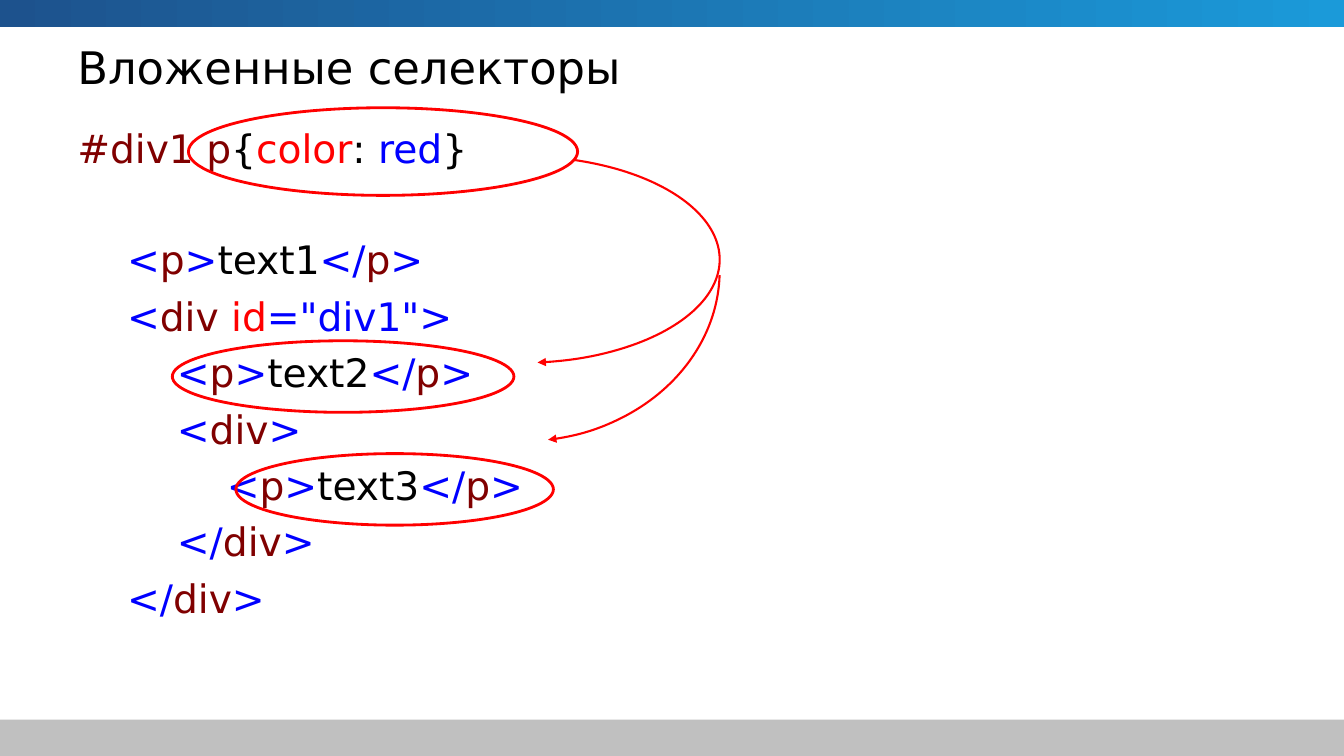
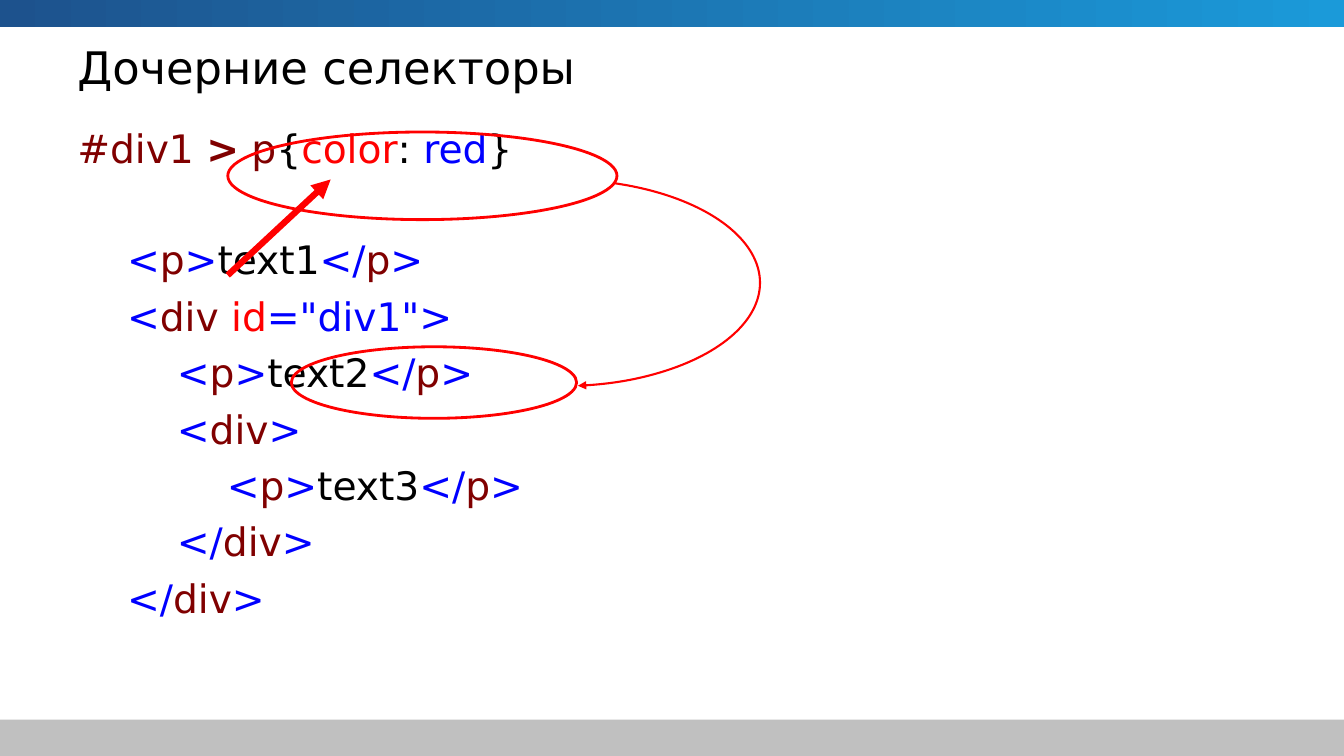
"""Build two slides on nested and child CSS selectors."""
from dataclasses import dataclass

from lxml.etree import SubElement
from pptx import Presentation
from pptx.dml.color import RGBColor
from pptx.enum.shapes import MSO_CONNECTOR, MSO_SHAPE
from pptx.enum.text import MSO_ANCHOR, MSO_AUTO_SIZE, PP_ALIGN
from pptx.oxml.ns import qn
from pptx.util import Pt

COLORS = {
    "text": "000000", "name": "800000", "mark": "0000FF", "accent": "FF0000",
    "footer": "C0C0C0", "band_start": "1D528D", "band_end": "1B9AD9",
}
FONT = "DejaVu Sans"
WIDTH, HEIGHT = 960, 540
TITLE_SIZE, CODE_SIZE = 32, 28
INDENT = 35.6
LINE_GAP = 6.7
BLOCK_GAP = 46


@dataclass(frozen=True)
class Span:
    text: str
    color: str = "text"
    bold: bool = False


@dataclass(frozen=True)
class CodeLine:
    level: int
    spans: list[Span]
    gap: float = LINE_GAP


@dataclass(frozen=True)
class Box:
    left: float
    top: float
    width: float
    height: float


@dataclass(frozen=True)
class Arc:
    box: Box
    start: float
    end: float = 80.92


@dataclass(frozen=True)
class Arrow:
    start: tuple[float, float]
    end: tuple[float, float]


@dataclass(frozen=True)
class Page:
    title: str
    selector: list[Span]
    ellipses: list[Box]
    arcs: list[Arc]
    arrows: list[Arrow]


def rgb(name):
    return RGBColor.from_string(COLORS[name])


def open_tag(name: str) -> list[Span]:
    return [Span("<", "mark"), Span(name, "name"), Span(">", "mark")]


def close_tag(name: str) -> list[Span]:
    return [Span("</", "mark"), Span(name, "name"), Span(">", "mark")]


def paragraph_tag(text: str) -> list[Span]:
    return [*open_tag("p"), Span(text), *close_tag("p")]


RULE = [Span("{"), Span("color", "accent"), Span(": "), Span("red", "mark"), Span("}")]
MARKUP = [
    CodeLine(1, paragraph_tag("text1"), BLOCK_GAP),
    CodeLine(1, [Span("<", "mark"), Span("div ", "name"), Span("id", "accent"),
                 Span('="div1">', "mark")]),
    CodeLine(2, paragraph_tag("text2")),
    CodeLine(2, open_tag("div")),
    CodeLine(3, paragraph_tag("text3")),
    CodeLine(2, close_tag("div")),
    CodeLine(1, close_tag("div")),
]
PAGES = [
    Page(
        "Вложенные селекторы",
        [Span("#div1 p", "name"), *RULE],
        [Box(134.6, 77, 278, 62.6), Box(123.1, 243.4, 244, 51.1),
         Box(168.5, 324, 226.8, 51.1)],
        [Arc(Box(230.4, 111.6, 283.7, 147.6), 298.19),
         Arc(Box(230.4, 71.3, 283.7, 244), 1.3)],
        [],
    ),
    Page(
        "Дочерние селекторы",
        [Span("#div1 ", "name"), Span(">", "name", True), Span(" p", "name"), *RULE],
        [Box(162.7, 94.3, 278, 62.6), Box(208.1, 247.7, 203.8, 51.1)],
        [Arc(Box(259.2, 128.2, 283.7, 147.6), 298.19)],
        [Arrow((162.7, 196.6), (236.2, 128.2))],
    ),
]


def add_span(para, text: str, *, size: float, color: str = "text", bold: bool = False) -> None:
    span = para.add_run()
    span.text = text
    font = span.font
    font.name, font.size, font.bold = FONT, Pt(size), bold
    font.color.rgb = rgb(color)


def place(shape, box: Box) -> None:
    shape.left, shape.top = Pt(box.left), Pt(box.top)
    shape.width, shape.height = Pt(box.width), Pt(box.height)


def add_preset(page, kind: MSO_SHAPE, box: Box):
    shape = page.shapes.add_shape(
        kind, Pt(box.left), Pt(box.top), Pt(box.width), Pt(box.height))
    shape.shadow.inherit = False
    return shape


def style_line(shape, width: float, arrowhead: bool = False) -> None:
    shape.line.color.rgb = rgb("accent")
    shape.line.width = Pt(width)
    if arrowhead:
        line = shape.element.spPr.find(qn("a:ln"))
        SubElement(line, qn("a:tailEnd"), type="triangle")


def add_ellipse(page, box: Box) -> None:
    ellipse = add_preset(page, MSO_SHAPE.OVAL, box)
    ellipse.fill.background()
    style_line(ellipse, 2)


def add_arc(page, arc: Arc) -> None:
    shape = add_preset(page, MSO_SHAPE.ARC, arc.box)
    for index, degrees in enumerate((arc.start, arc.end)):
        shape.adjustments[index] = degrees * 0.6
    shape.fill.background()
    style_line(shape, 1.5, arrowhead=True)


def add_arrow(page, arrow: Arrow) -> None:
    points = [Pt(value) for value in (*arrow.start, *arrow.end)]
    connector = page.shapes.add_connector(MSO_CONNECTOR.STRAIGHT, *points)
    style_line(connector, 4.5, arrowhead=True)
    SubElement(connector.element.spPr, qn("a:effectLst"))


def add_bands(deck, page) -> None:
    footer = add_preset(page, MSO_SHAPE.RECTANGLE, Box(0, 514, WIDTH, 26))
    footer.fill.solid()
    footer.fill.fore_color.rgb = rgb("footer")
    header = add_preset(page, MSO_SHAPE.RECTANGLE, Box(0, 0, WIDTH, 19))
    header.fill.gradient()
    header.fill.gradient_angle = 0
    for stop, color in zip(header.fill.gradient_stops, ("band_start", "band_end")):
        stop.color.rgb = rgb(color)
    for band in (footer, header):
        band.line.fill.background()
        deck.slide_master.element.cSld.spTree.append(band.element)


def prepare_layout(layout) -> None:
    title, body = layout.placeholders[0], layout.placeholders[1]
    place(title, Box(48, 25.2, 864, 44.6))
    place(body, Box(48, 85, 864, 413.3))


def fill_title(title, text: str) -> None:
    frame = title.text_frame
    frame.auto_size = MSO_AUTO_SIZE.NONE
    frame.vertical_anchor = MSO_ANCHOR.MIDDLE
    para = frame.paragraphs[0]
    para.alignment = PP_ALIGN.LEFT
    add_span(para, text, size=TITLE_SIZE)


def fill_code(body, lines: list[CodeLine]) -> None:
    frame = body.text_frame
    frame.auto_size = MSO_AUTO_SIZE.NONE
    for index, line in enumerate(lines):
        para = frame.add_paragraph() if index else frame.paragraphs[0]
        para.space_before = Pt(line.gap)
        properties = para._p.get_or_add_pPr()
        properties.set("marL", str(Pt(INDENT * line.level)))
        properties.set("indent", "0")
        SubElement(properties, qn("a:buNone"))
        for span in line.spans:
            add_span(para, span.text, size=CODE_SIZE, color=span.color, bold=span.bold)


def add_page(deck, layout, content: Page):
    page = deck.slides.add_slide(layout)
    fill_title(page.shapes.title, content.title)
    fill_code(page.placeholders[1], [CodeLine(0, content.selector, 0), *MARKUP])
    for box in content.ellipses:
        add_ellipse(page, box)
    for arc in content.arcs:
        add_arc(page, arc)
    for arrow in content.arrows:
        add_arrow(page, arrow)
    return page


def main() -> None:
    deck = Presentation()
    deck.slide_width, deck.slide_height = Pt(WIDTH), Pt(HEIGHT)
    layout = deck.slide_layouts[1]
    prepare_layout(layout)
    pages = [add_page(deck, layout, content) for content in PAGES]
    add_bands(deck, pages[0])
    deck.save("out.pptx")


main()
